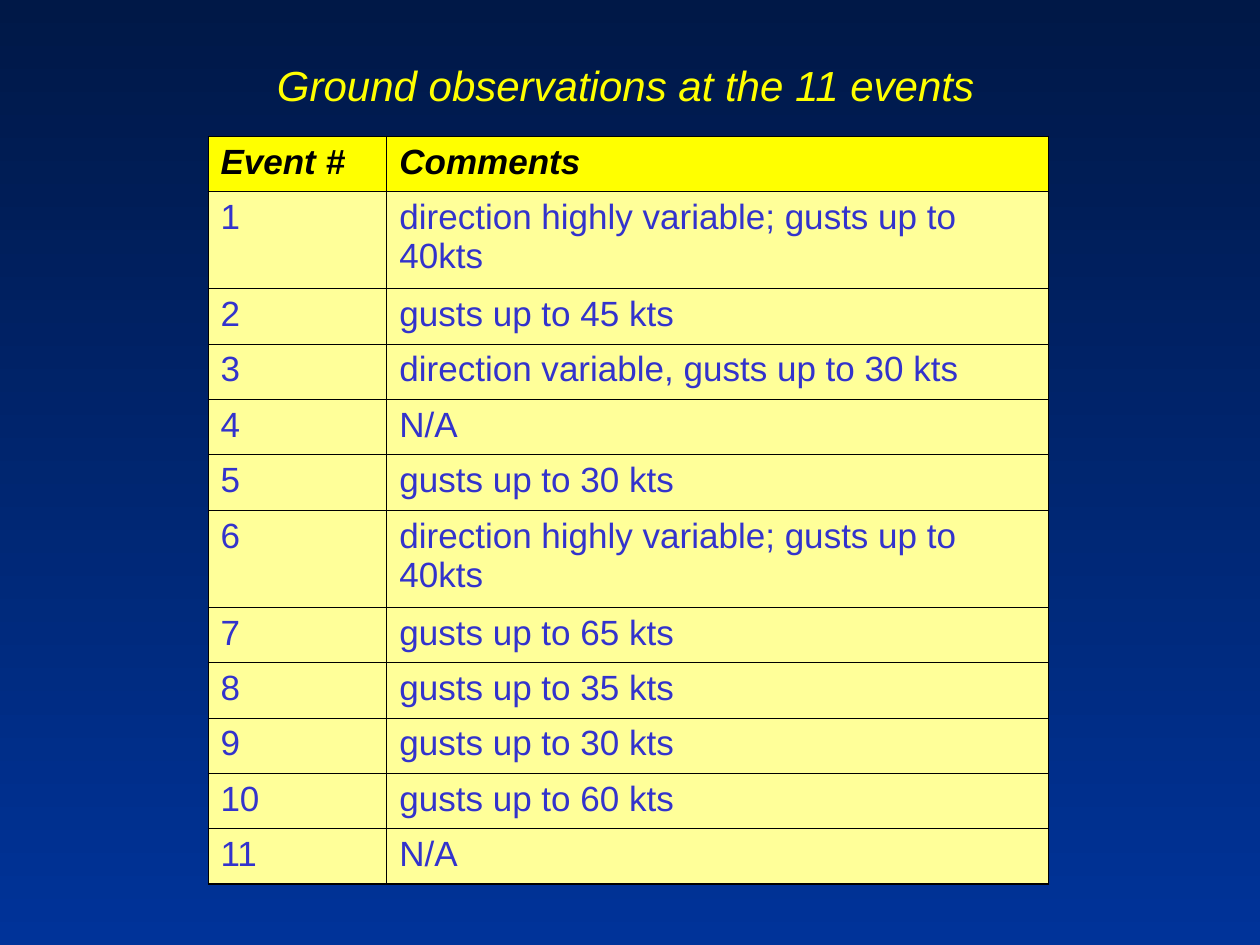
"""Build a slide with a table of ground observations at eleven events."""
from lxml.etree import SubElement
from pptx import Presentation
from pptx.dml.color import RGBColor
from pptx.enum.text import MSO_AUTO_SIZE
from pptx.oxml.ns import qn
from pptx.util import Inches, Pt

NIGHT = RGBColor(0x00, 0x18, 0x47)
BLUE = RGBColor(0x00, 0x33, 0x99)
YELLOW = RGBColor(0xFF, 0xFF, 0x00)
PALE_YELLOW = RGBColor(0xFF, 0xFF, 0x99)
INDIGO = RGBColor(0x33, 0x33, 0xCC)
BLACK = RGBColor(0x00, 0x00, 0x00)

COLUMN_WIDTHS = (1.42, 5.25)
ROW_HEIGHT = 0.44
TALL_ROW_HEIGHT = 0.77
TALL_EVENTS = (1, 6)
THIN, THICK = 0.45, 1.08
COMMENTS = [
    "direction highly variable; gusts up to 40kts",
    "gusts up to 45 kts",
    "direction variable, gusts up to 30 kts",
    "N/A",
    "gusts up to 30 kts",
    "direction highly variable; gusts up to 40kts",
    "gusts up to 65 kts",
    "gusts up to 35 kts",
    "gusts up to 30 kts",
    "gusts up to 60 kts",
    "N/A",
]


def set_background(slide):
    fill = slide.background.fill
    fill.gradient()
    fill.gradient_angle = 270
    for stop, color, position in zip(fill.gradient_stops, (NIGHT, BLUE), (0, 1)):
        stop.color.rgb = color
        stop.position = position


def style_font(paragraph, size, color, bold=False, italic=False):
    font = paragraph.font
    font.name = "Arial"
    font.size = Pt(size)
    font.color.rgb = color
    font.bold = bold
    font.italic = italic


def add_title(slide, text):
    box = slide.shapes.add_textbox(Inches(2.1), Inches(0.42), Inches(5.76), Inches(0.5))
    frame = box.text_frame
    frame.word_wrap = False
    frame.auto_size = MSO_AUTO_SIZE.SHAPE_TO_FIT_TEXT
    frame.text = text
    style_font(frame.paragraphs[0], 24, YELLOW, italic=True)


def add_borders(cell, bottom_width):
    properties = cell._tc.get_or_add_tcPr()
    widths = {"a:lnL": THIN, "a:lnR": THIN, "a:lnT": THIN, "a:lnB": bottom_width}
    for tag, width in widths.items():
        line = SubElement(properties, qn(tag), w=str(Pt(width)))
        fill = SubElement(line, qn("a:solidFill"))
        SubElement(fill, qn("a:srgbClr"), val=str(BLACK))


def fill_cell(cell, text, is_header, is_last):
    add_borders(cell, THICK if is_last else THIN)
    cell.fill.solid()
    cell.fill.fore_color.rgb = YELLOW if is_header else PALE_YELLOW
    cell.text = text
    paragraph = cell.text_frame.paragraphs[0]
    paragraph.space_before = Pt(5)
    style_font(paragraph, 20, BLACK if is_header else INDIGO, is_header, is_header)


def add_observation_table(slide):
    rows = [("Event #", "Comments")]
    rows += [(str(event), comment) for event, comment in enumerate(COMMENTS, 1)]
    table = slide.shapes.add_table(
        len(rows), len(COLUMN_WIDTHS), Inches(1.65), Inches(1.08), Inches(6.67), Inches(5.87)
    ).table
    for column, width in zip(table.columns, COLUMN_WIDTHS):
        column.width = Inches(width)
    for index, texts in enumerate(rows):
        height = TALL_ROW_HEIGHT if index in TALL_EVENTS else ROW_HEIGHT
        table.rows[index].height = Inches(height)
        for cell, text in zip(table.rows[index].cells, texts):
            fill_cell(cell, text, index == 0, index == len(rows) - 1)


def main():
    presentation = Presentation()
    presentation.slide_width = Inches(10)
    presentation.slide_height = Inches(7.5)
    slide = presentation.slides.add_slide(presentation.slide_layouts[6])
    set_background(slide)
    add_observation_table(slide)
    add_title(slide, "Ground observations at the 11 events")
    presentation.save("out.pptx")


if __name__ == "__main__":
    main()
